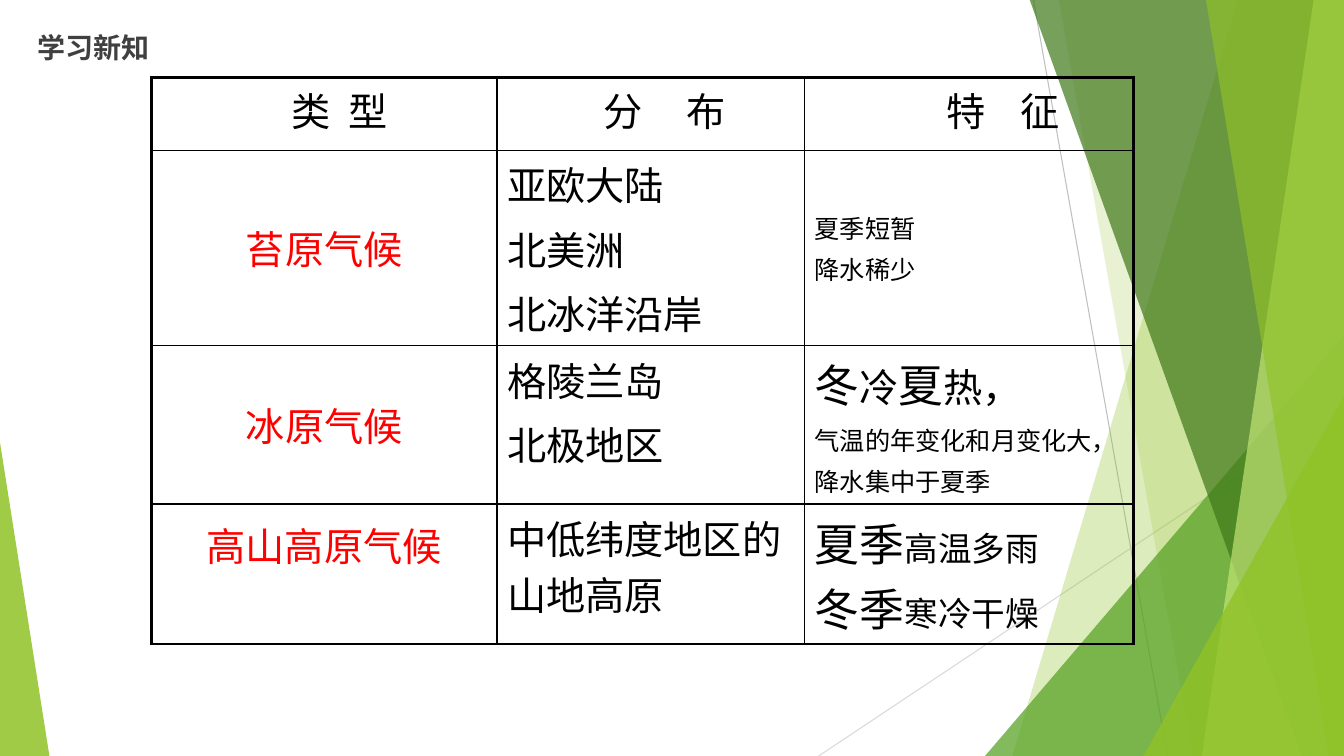
from lxml import etree
from pptx import Presentation
from pptx.dml.color import RGBColor
from pptx.enum.shapes import MSO_CONNECTOR, MSO_SHAPE
from pptx.enum.text import MSO_ANCHOR as ANCHOR, MSO_AUTO_SIZE as AUTO, PP_ALIGN as ALIGN
from pptx.oxml import parse_xml
from pptx.oxml.ns import nsdecls, qn
from pptx.util import Pt

PX = 9144  # 100 px to the inch
SANS, SERIF = "Noto Sans CJK SC", "Times New Roman"
WIDTH, HEIGHT = 1333, 750


def color(value):
    return RGBColor.from_string(value)


def write(para, text, **formats):
    span = para.add_run()
    span.text = text
    for name, value in formats.items():
        if name == "color":
            span.font.color.rgb = color(value)
        else:
            setattr(span.font, name, value)
    east_asian = etree.SubElement(span._r.get_or_add_rPr(), qn("a:ea"))
    east_asian.set("typeface", SANS)
    return span


deck = Presentation()
deck.slide_width, deck.slide_height = WIDTH * PX, HEIGHT * PX
page = deck.slides.add_slide(deck.slide_layouts[5])

# Thin lines behind the facets
for x1, y1, x2, y2, gray in [(1025, 0, 1158, 750, "BFBFBF"), (1333, 403, 812, 750, "D9D9D9")]:
    line = page.shapes.add_connector(MSO_CONNECTOR.STRAIGHT, x1 * PX, y1 * PX, x2 * PX, y2 * PX)
    line.line.color.rgb = color(gray)
    line.line.width = Pt(0.75)
    etree.SubElement(line._element.spPr, qn("a:effectLst"))

# Green facets: (top x, bottom x) reaches the right edge,
# (left, top, width, apex) is a triangle standing on the bottom edge
facets = [
    ((1228, 1004), "90C226", 30),
    ((1050, 1183), "90C226", 20),
    ((977, 333, 356, 1), "54A021", 72),
    ((1021, 1291), "3F7819", 70),
    ((1303, 1192), "C0E474", 70),
    ((1196, 1318), "90C226", 65),
    ((1134, 393, 199, 1), "90C226", 80),
    ((0, 439, 49, 0), "90C226", 85),
]
for outline, green, opacity in facets:
    if len(outline) == 2:
        top_x, bottom_x = outline
        builder = page.shapes.build_freeform(top_x, -1, scale=PX)
        builder.add_line_segments([(WIDTH, -1), (WIDTH, HEIGHT), (bottom_x, HEIGHT)], close=True)
        facet = builder.convert_to_shape()
    else:
        left, top, width, apex = outline
        facet = page.shapes.add_shape(MSO_SHAPE.ISOSCELES_TRIANGLE, left * PX, top * PX,
                                      width * PX, (HEIGHT - top) * PX)
        facet.adjustments[0] = apex
    facet.shadow.inherit = False
    facet.line.fill.background()
    facet.fill.solid()
    facet.fill.fore_color.rgb = color(green)
    tint = facet._element.spPr.find(qn("a:solidFill"))[0]
    etree.SubElement(tint, qn("a:alpha")).set("val", str(opacity * 1000))

# Title
title = page.shapes.title
for name, value in dict(left=27, top=25, width=132, height=44).items():
    setattr(title, name, value * PX)
frame = title.text_frame
for name, value in dict(word_wrap=False, auto_size=AUTO.SHAPE_TO_FIT_TEXT,
                        vertical_anchor=ANCHOR.TOP).items():
    setattr(frame, name, value)
frame.paragraphs[0].alignment = ALIGN.LEFT
write(frame.paragraphs[0], "学习新知", size=Pt(20), name=SANS, bold=True, color="404040")

# Climate table: each cell is a list of paragraphs, each paragraph a list of (text, size)
columns, rows = [343, 305, 326], [72, 194, 157, 139]
header_shift = [31, 28, 68]
header_tracking = [350, 170, -140]  # hundredths of a point
climates = [
    [[[("类 型", 28)]], [[("分　布", 28)]], [[("特　征", 28)]]],
    [[[("苔原气候", 28)]],
     [[("亚欧大陆", 28)], [("北美洲", 28)], [("北冰洋沿岸", 28)]],
     [[("夏季短暂", 18)], [("降水稀少", 18)]]],
    [[[("冰原气候", 28)]],
     [[("格陵兰岛", 28)], [("北极地区", 28)]],
     [[("冬", 32), ("冷", 28), ("夏", 32), ("热，", 28)],
      [("气温的年变化和月变化大，", 18)], [("降水集中于夏季", 18)]]],
    [[[("高山高原气候", 28)]],
     [[("中低纬度地区的山地高原", 28)]],
     [[("夏季", 32), ("高温多雨", 24)], [("冬季", 32), ("寒冷干燥", 24)]]],
]
table = page.shapes.add_table(len(rows), len(columns), 150 * PX, 77 * PX,
                              sum(columns) * PX, sum(rows) * PX).table
table.first_row = table.horz_banding = False
for column, width in zip(table.columns, columns):
    column.width = width * PX
for row, height in zip(table.rows, rows):
    row.height = height * PX

last_row, last_column = len(rows) - 1, len(columns) - 1
for r, climate in enumerate(climates):
    for c, paragraphs in enumerate(climate):
        cell = table.cell(r, c)
        centered = r == 0 or c == 0
        middle = r > 0 and (c == 0 or (c == last_column and r < last_row))
        cell.vertical_anchor = ANCHOR.MIDDLE if middle else ANCHOR.TOP
        if r == 0:
            cell.margin_left = (10 + header_shift[c]) * PX
            cell.margin_top = 3 * PX
        if r == last_row and c == 0:
            cell.margin_bottom = 63 * PX

        # Heavy frame outside, thin rules inside
        edges = {"L": c == 0, "R": c == last_column, "T": r == 0, "B": r == last_row}
        for side, outer in edges.items():
            cell._tc.get_or_add_tcPr().append(parse_xml(
                f'<a:ln{side} {nsdecls("a")} w="{Pt(2.25 if outer else 1)}"><a:solidFill>'
                f'<a:srgbClr val="000000"/></a:solidFill></a:ln{side}>'))
        cell.fill.background()

        for i, spans in enumerate(paragraphs):
            para = cell.text_frame.paragraphs[0] if i == 0 else cell.text_frame.add_paragraph()
            para.alignment = ALIGN.CENTER if centered else ALIGN.LEFT
            tight = r == last_row and c == last_column
            para.space_before = Pt(0 if tight else max(size for _, size in spans) * 0.2)
            for text, size in spans:
                serif = r > 0 and c == last_column and size != 24
                span = write(para, text, size=Pt(size), name=SERIF if serif else SANS,
                             color="FF0000" if r > 0 and c == 0 else "000000")
                if r == 0:
                    span._r.get_or_add_rPr().set("spc", str(header_tracking[c]))

deck.save("out.pptx")
